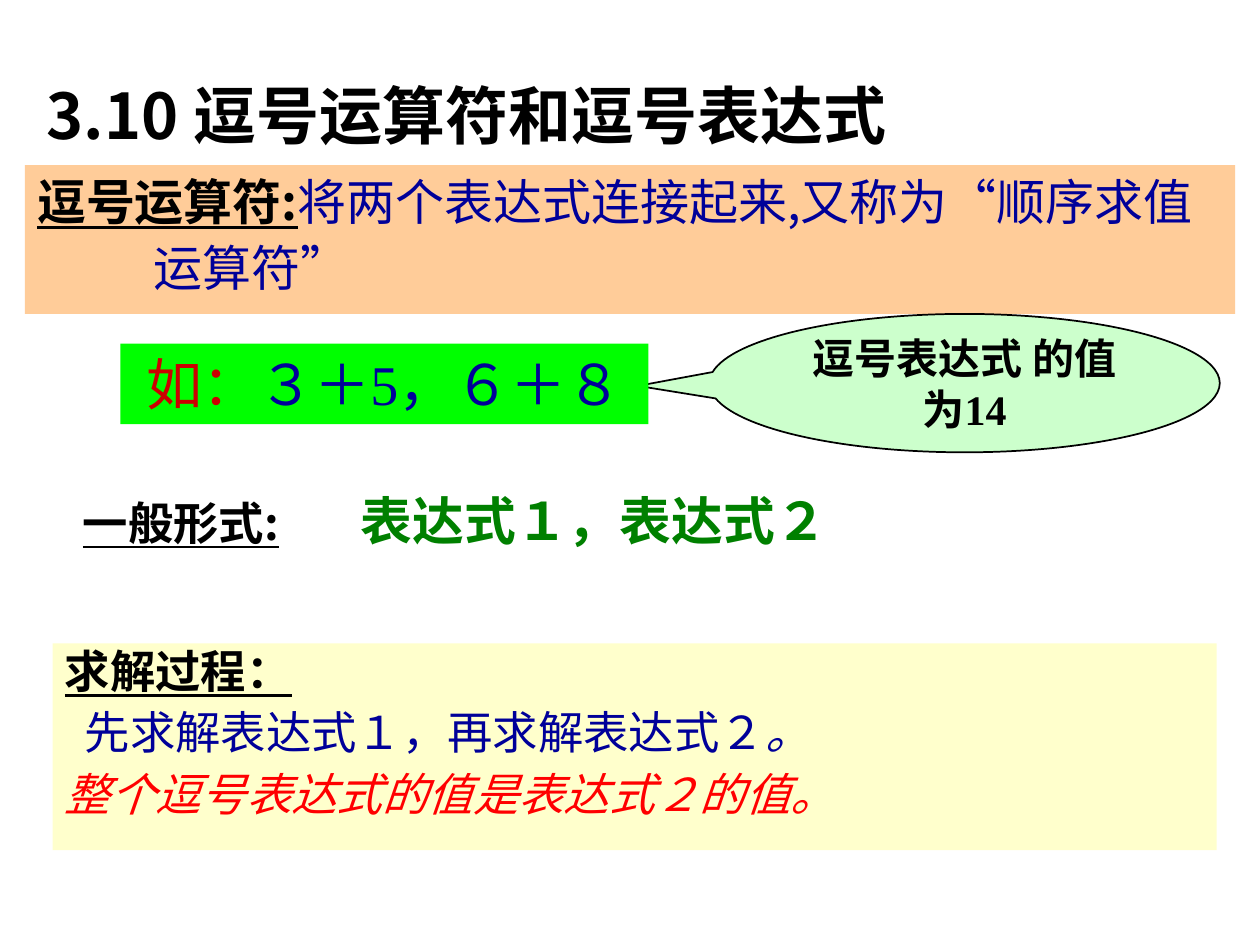
from lxml.etree import SubElement
from pptx import Presentation
from pptx.dml.color import RGBColor
from pptx.enum.shapes import MSO_SHAPE
from pptx.enum.text import MSO_ANCHOR, PP_ALIGN
from pptx.oxml.ns import qn
from pptx.util import Cm, Pt

COLORS = {
    "black": "000000", "navy": "000099", "red": "FF0000", "crimson": "CC0000",
    "green": "008000", "lime": "00FF00", "peach": "FFCC99",
    "cream": "FFFFCC", "mint": "CCFFCC",
}
CJK, SERIF = "Noto Sans CJK SC", "Times New Roman"

# Each run: text, size in points, colour, style letters (b, i, u)
TITLE = [[("3.10 逗号运算符和逗号表达式", 36, "black", "b")]]
DEFINITION = [[
    ("逗号运算符:", 28, "black", "bu"),
    ("将两个表达式连接起来,又称为“顺序求值运算符”", 28, "navy", ""),
    (" ", 32, "navy", "b"),
]]
GENERAL_FORM = [[
    ("一般形式:", 25.9, "black", "bu"),
    ("\t", 25.9, "black", ""),
    ("表达式１，表达式２", 29.6, "green", "b"),
]]
STEPS = [
    [("求解过程：", 25.9, "black", "bu")],
    [("先求解表达式１，再求解表达式２", 25.9, "navy", ""),
     ("。", 25.9, "navy", "i")],
    [("整个逗号表达式的值是表达式２的值。", 25.9, "red", "i")],
]
RESULT = [[("逗号表达式 的值为14", 24, "black", "b")]]
EXAMPLE = [[("如：", 32, "crimson", ""), ("３＋5，６＋８", 32, "navy", "")]]


def rgb(name):
    return RGBColor.from_string(COLORS[name])


def write(tf, paragraphs, font=CJK, align=PP_ALIGN.LEFT, anchor=MSO_ANCHOR.TOP):
    tf.word_wrap = True
    tf.vertical_anchor = anchor
    for i, runs in enumerate(paragraphs):
        p = tf.add_paragraph() if i else tf.paragraphs[0]
        p.alignment = align
        for text, size, color, style in runs:
            r = p.add_run()
            r.text = text
            f = r.font
            f.name, f.size = font, Pt(size)
            f.bold, f.italic, f.underline = (k in style for k in "biu")
            f.color.rgb = rgb(color)
            SubElement(r._r.get_or_add_rPr(), qn("a:ea"), typeface=CJK)
    return tf


def indent(p, left, first=0):
    pPr = p._p.get_or_add_pPr()
    pPr.set("marL", str(Cm(left)))
    pPr.set("indent", str(Cm(first)))


def add_panel(s, kind, box, fill):
    sp = s.shapes.add_shape(kind, *map(Cm, box))
    sp.shadow.inherit = False
    sp.fill.solid()
    sp.fill.fore_color.rgb = rgb(fill)
    sp.line.fill.background()
    return sp


prs = Presentation()
prs.slide_width, prs.slide_height = Cm(25.4), Cm(19.05)
s = prs.slides.add_slide(prs.slide_layouts[5])

title = s.shapes.title
title.left, title.top, title.width, title.height = map(Cm, (0.69, 1.27, 18.69, 2.06))
write(title.text_frame, TITLE, anchor=MSO_ANCHOR.MIDDLE)

definition = add_panel(s, MSO_SHAPE.RECTANGLE, (0.5, 3.33, 24.4, 3), "peach")
tf = write(definition.text_frame, DEFINITION)
indent(tf.paragraphs[0], 2.34, -2.34)

form = s.shapes.add_textbox(*map(Cm, (1.42, 9.72, 21.4, 1.6)))
p = write(form.text_frame, GENERAL_FORM).paragraphs[0]
tabs = SubElement(p._p.get_or_add_pPr(), qn("a:tabLst"))
SubElement(tabs, qn("a:tab"), pos=str(Cm(5.6)), algn="l")

steps = add_panel(s, MSO_SHAPE.RECTANGLE, (1.06, 12.97, 23.47, 4.17), "cream")
tf = write(steps.text_frame, STEPS)
for i, p in enumerate(tf.paragraphs):
    p.line_spacing = 0.9
    p.space_before = Pt(7 if i else 0)
indent(tf.paragraphs[1], 0.4)

result = add_panel(s, MSO_SHAPE.OVAL_CALLOUT, (14.3, 6.33, 10.29, 2.79), "mint")
result.adjustments[0], result.adjustments[1] = -0.64, 0.02
result.line.color.rgb = rgb("black")
result.line.width = Pt(1)
write(result.text_frame, RESULT, SERIF, PP_ALIGN.CENTER, MSO_ANCHOR.MIDDLE)

example = add_panel(s, MSO_SHAPE.RECTANGLE, (2.43, 6.93, 10.64, 1.62), "lime")
tf = write(example.text_frame, EXAMPLE, SERIF, PP_ALIGN.CENTER)
tf.margin_left = tf.margin_right = 0

prs.save("out.pptx")
